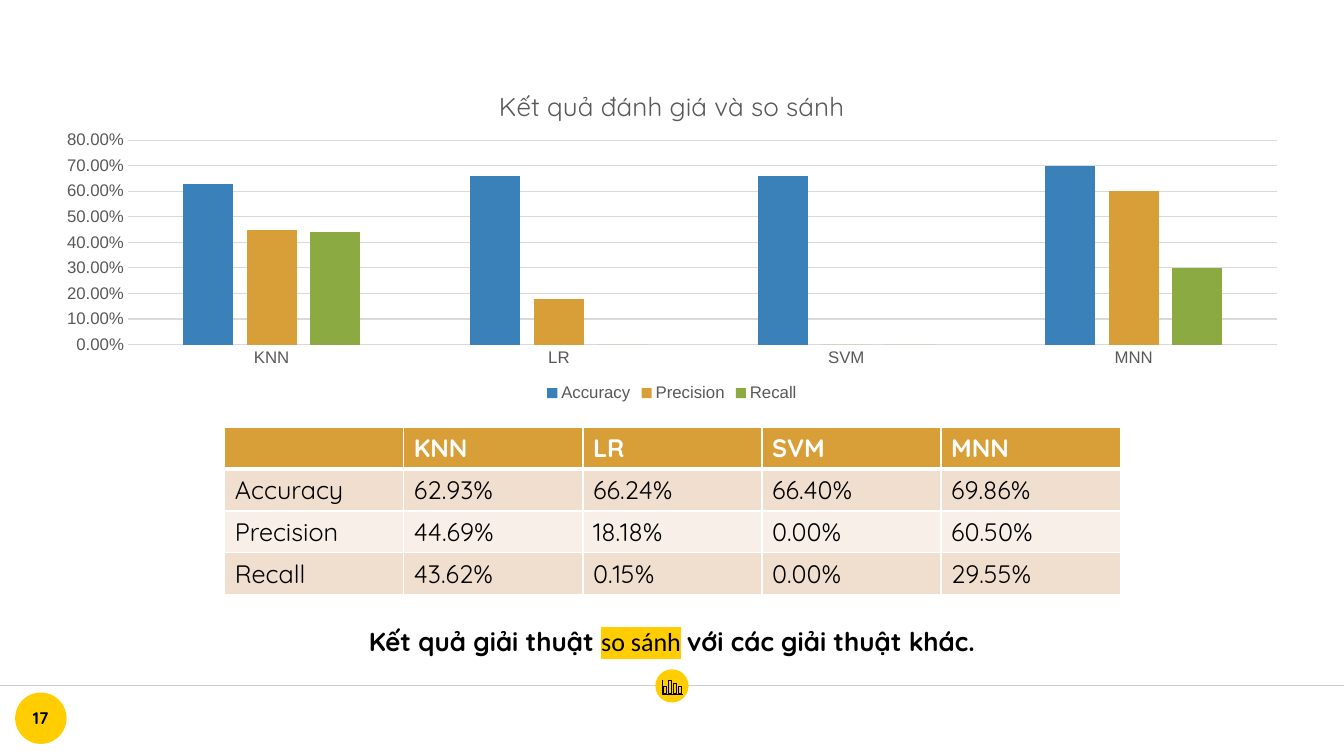
from dataclasses import dataclass

from lxml.etree import SubElement
from pptx import Presentation
from pptx.chart.data import CategoryChartData
from pptx.dml.color import RGBColor
from pptx.enum.chart import XL_CHART_TYPE, XL_LEGEND_POSITION, XL_TICK_MARK
from pptx.enum.shapes import MSO_CONNECTOR, MSO_SHAPE
from pptx.enum.text import MSO_ANCHOR, PP_ALIGN
from pptx.oxml import parse_xml
from pptx.oxml.ns import nsdecls, qn
from pptx.util import Inches, Pt

COLORS = {
    "black": "000000", "white": "FFFFFF", "yellow": "FFCD00",
    "rule": "CCCCCC", "grid": "D9D9D9", "label": "595959",
    "blue": "3A81BA", "gold": "D89F39", "green": "8BAB42",
    "band": "F0DFCE", "pale": "F8F0E8",
}
MODELS = ["KNN", "LR", "SVM", "MNN"]
WIDE, HIGH = 12.51, 3.33  # chart size


@dataclass
class Metric:
    name: str
    color: str
    rates: list[str]


@dataclass
class Piece:
    text: str
    font: str = "Quicksand"
    bold: bool = True
    mark: bool = False


METRICS = [
    Metric("Accuracy", "blue", ["62.93%", "66.24%", "66.40%", "69.86%"]),
    Metric("Precision", "gold", ["44.69%", "18.18%", "0.00%", "60.50%"]),
    Metric("Recall", "green", ["43.62%", "0.15%", "0.00%", "29.55%"]),
]
CAPTION = [
    Piece("Kết quả giải thuật "),
    Piece("so sánh", "Calibri", False, True),
    Piece(" ", "Calibri", False),
    Piece("với các giải thuật khác."),
]


def rgb(name: str) -> RGBColor:
    return RGBColor.from_string(COLORS[name])


def set_font(font, size: float, color: str, face: str = "Quicksand", bold: bool = False) -> None:
    font.size, font.name, font.bold = Pt(size), face, bold
    font.color.rgb = rgb(color)


def add_run(para, text: str, *style):
    run = para.add_run()
    run.text = text
    set_font(run.font, *style)
    return run


def set_pad(frame, pad: float) -> None:
    frame.margin_left = frame.margin_right = Inches(pad)
    frame.margin_top = frame.margin_bottom = Inches(pad)


def add_disc(slide, left: float, top: float, size: float):
    disc = slide.shapes.add_shape(
        MSO_SHAPE.OVAL, Inches(left), Inches(top), Inches(size), Inches(size))
    disc.shadow.inherit = False
    disc.fill.solid()
    disc.fill.fore_color.rgb = rgb("yellow")
    disc.line.fill.background()
    return disc


def add_rule(slide) -> None:
    rule = slide.shapes.add_connector(
        MSO_CONNECTOR.STRAIGHT, 0, Inches(6.8), Inches(13.33), Inches(6.8))
    rule.line.color.rgb = rgb("rule")
    rule.line.width = Pt(0.75)
    SubElement(rule._element.spPr, qn("a:effectLst"))


def add_caption(slide) -> None:
    box = slide.shapes.add_textbox(Inches(2.9), Inches(5.89), Inches(7.53), Inches(0.76))
    frame = box.text_frame
    frame.word_wrap = True
    frame.vertical_anchor = MSO_ANCHOR.BOTTOM
    set_pad(frame, 0.13)
    para = frame.paragraphs[0]
    para.alignment = PP_ALIGN.CENTER
    for piece in CAPTION:
        run = add_run(para, piece.text, 18.6, "black", piece.font, piece.bold)
        if piece.mark:
            run.font._element.find(qn("a:solidFill")).addnext(parse_xml(
                f'<a:highlight {nsdecls("a")}><a:srgbClr val="{COLORS["yellow"]}"/></a:highlight>'))


def style_axes(chart) -> None:
    for axis in (chart.category_axis, chart.value_axis):
        axis.major_tick_mark = axis.minor_tick_mark = XL_TICK_MARK.NONE
        set_font(axis.tick_labels.font, 12, "label", "Arial")
    edge = chart.category_axis.format.line
    scale = chart.value_axis
    scale.format.line.fill.background()
    scale.minimum_scale, scale.maximum_scale, scale.major_unit = 0, 0.8, 0.1
    scale.tick_labels.number_format = "0.00%"
    scale.tick_labels.number_format_is_linked = False
    for line in (edge, scale.major_gridlines.format.line):
        line.color.rgb = rgb("grid")
        line.width = Pt(0.75)


def place_plot(chart, left: float, top: float, width: float, height: float) -> None:
    """Fix the inner plot area, in inches from the chart's corner."""
    area = chart._chartSpace.chart.plotArea
    for old in area.findall(qn("c:layout")):
        area.remove(old)
    parts = {"x": left / WIDE, "y": top / HIGH, "w": width / WIDE, "h": height / HIGH}
    sizes = "".join(f'<c:{key} val="{part:.4f}"/>' for key, part in parts.items())
    area.insert(0, parse_xml(
        f'<c:layout {nsdecls("c")}><c:manualLayout><c:layoutTarget val="inner"/>'
        f'<c:xMode val="edge"/><c:yMode val="edge"/>{sizes}</c:manualLayout></c:layout>'))


def add_graph(slide) -> None:
    data = CategoryChartData(number_format="0.00%")
    data.categories = MODELS
    for metric in METRICS:
        data.add_series(metric.name, [round(float(r.rstrip("%")) / 100, 2) for r in metric.rates])
    chart = slide.shapes.add_chart(
        XL_CHART_TYPE.COLUMN_CLUSTERED, Inches(0.41), Inches(0.7),
        Inches(WIDE), Inches(HIGH), data).chart
    set_font(chart.font, 10, "black", "Arial")
    title = chart.chart_title.text_frame.paragraphs[0]
    add_run(title, "Kết quả đánh giá và so sánh", 18.6, "label")
    chart.has_legend = True
    chart.legend.position = XL_LEGEND_POSITION.BOTTOM
    chart.legend.include_in_layout = False
    set_font(chart.legend.font, 12, "label", "Arial")
    plot = chart.plots[0]
    plot.gap_width, plot.overlap, plot.vary_by_categories = 219, -27, False
    for series, metric in zip(plot.series, METRICS):
        series.format.fill.solid()
        series.format.fill.fore_color.rgb = rgb(metric.color)
    style_axes(chart)
    place_plot(chart, 0.86, 0.69, 11.4, 2.03)


def set_edges(cell, top: int, bottom: int) -> None:
    """Draw white borders; top and bottom are widths in points."""
    props = cell._tc.get_or_add_tcPr()
    widths = {"lnL": 1, "lnR": 1, "lnT": top, "lnB": bottom}
    for place, (tag, width) in enumerate(widths.items()):
        props.insert(place, parse_xml(
            f'<a:{tag} {nsdecls("a")} w="{Pt(width)}"><a:solidFill>'
            f'<a:srgbClr val="{COLORS["white"]}"/></a:solidFill></a:{tag}>'))


def add_grid(slide) -> None:
    rows = [["", *MODELS]] + [[m.name, *m.rates] for m in METRICS]
    table = slide.shapes.add_table(
        len(rows), len(rows[0]), Inches(2.23), Inches(4.24), Inches(8.88), Inches(1.66)).table
    for r, row in enumerate(rows):
        head = r == 0
        fill = "gold" if head else ("band" if r % 2 else "pale")
        for c, text in enumerate(row):
            cell = table.cell(r, c)
            cell.fill.solid()
            cell.fill.fore_color.rgb = rgb(fill)
            set_edges(cell, 3 if r == 1 else 1, 3 if head else 1)
            if text:
                add_run(cell.text_frame.paragraphs[0], text, 18,
                        "white" if head else "black", "Quicksand", head)


def add_path(slide, points: list[tuple[float, float]], close: bool) -> None:
    start, *rest = [(Inches(x), Inches(y)) for x, y in points]
    pen = slide.shapes.build_freeform(*start)
    pen.add_line_segments(rest, close=close)
    path = pen.convert_to_shape()
    path.shadow.inherit = False
    path.fill.background()
    path.line.color.rgb = rgb("black")
    path.line.width = Pt(0.75)


def add_icon(slide) -> None:
    add_path(slide, [(6.57, 6.75), (6.57, 6.89), (6.77, 6.89)], False)
    base, wide = 6.88, 0.03
    for i, top in enumerate([6.81, 6.75, 6.78, 6.81]):
        left = 6.58 + 0.05 * i
        add_path(slide, [(left, base), (left, top), (left + wide, top), (left + wide, base)], True)


def add_page(slide) -> None:
    frame = add_disc(slide, 0.15, 6.87, 0.51).text_frame
    frame.word_wrap = False
    frame.vertical_anchor = MSO_ANCHOR.MIDDLE
    set_pad(frame, 0.1)
    frame.paragraphs[0].alignment = PP_ALIGN.CENTER
    add_run(frame.paragraphs[0], "17", 12, "black", "Quicksand", True)


def main() -> None:
    deck = Presentation()
    deck.slide_width, deck.slide_height = Inches(13.33), Inches(7.5)
    slide = deck.slides.add_slide(deck.slide_layouts[6])
    add_rule(slide)
    add_disc(slide, 6.5, 6.64, 0.33)
    for draw in (add_caption, add_graph, add_grid, add_icon, add_page):
        draw(slide)
    deck.save("out.pptx")


if __name__ == "__main__":
    main()
